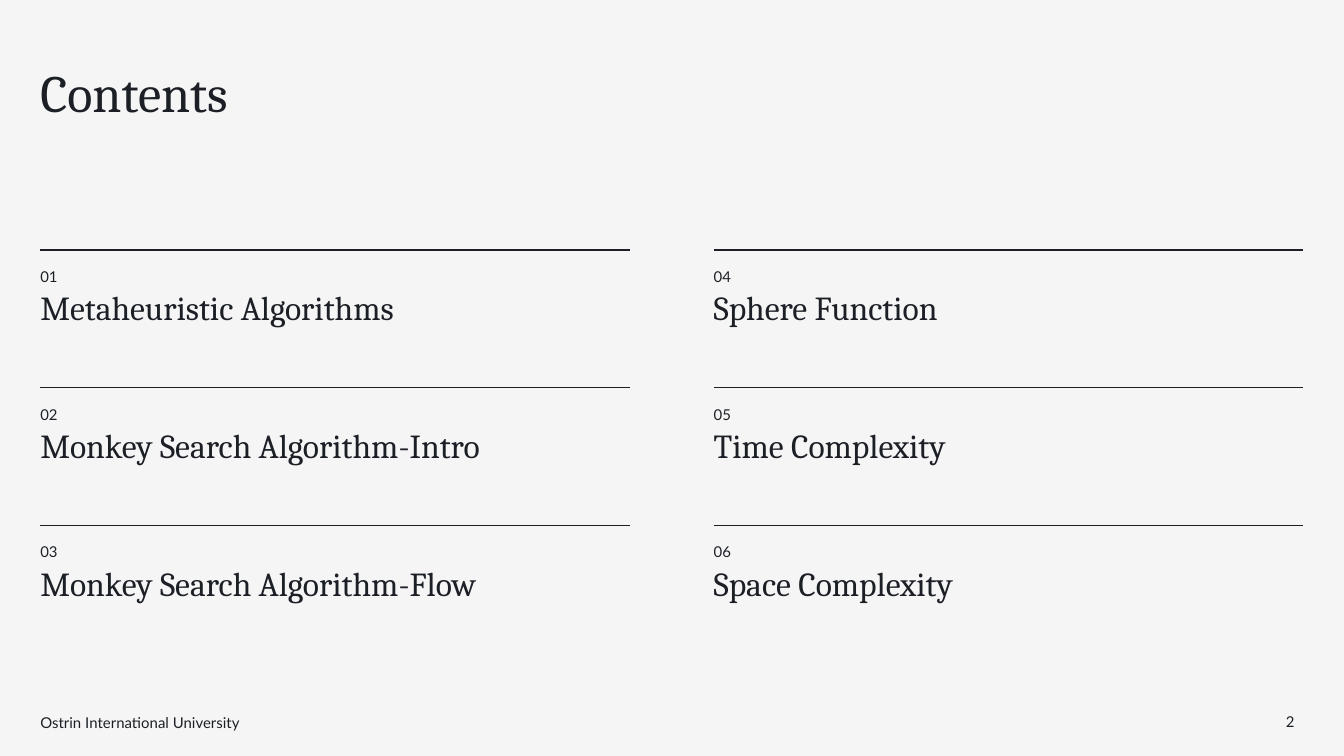
from lxml.etree import SubElement
from pptx import Presentation
from pptx.dml.color import RGBColor
from pptx.enum.shapes import MSO_CONNECTOR
from pptx.enum.text import MSO_ANCHOR, MSO_AUTO_SIZE, PP_ALIGN
from pptx.oxml.ns import qn
from pptx.util import Inches, Pt

# Content
TITLE = "Contents"
TOPICS = [
    "Metaheuristic Algorithms",
    "Monkey Search Algorithm-Intro",
    "Monkey Search Algorithm-Flow",
    "Sphere Function",
    "Time Complexity",
    "Space Complexity",
]
FOOTER = "Ostrin International University"
PAGE = "2"

# Style and grid, in inches
COLORS = {"ink": "1C2026", "paper": "F5F5F5"}
SERIF, SANS = "Cambria", "Lato"
COLUMNS = [0.3, 5.31]
ROWS = 3
TOP, PITCH = 1.86, 1.025
RULE_WIDTH = 4.385


def color(name):
    return RGBColor.from_string(COLORS[name])


def set_text(sp, box, text, font, size, spacing=1.0, anchor=MSO_ANCHOR.TOP, inset=0):
    sp.left, sp.top, sp.width, sp.height = [Inches(v) for v in box]
    tf = sp.text_frame
    tf.text = text
    tf.word_wrap = True
    tf.auto_size = MSO_AUTO_SIZE.NONE
    tf.vertical_anchor = anchor
    tf.margin_left = tf.margin_right = Inches(inset)
    tf.margin_top = tf.margin_bottom = Inches(inset)
    p = tf.paragraphs[0]
    p.alignment = PP_ALIGN.LEFT
    p.line_spacing = spacing
    p.space_before = Pt(0)
    r = p.runs[0]
    r.font.name = font
    r.font.size = Pt(size)
    r.font.color.rgb = color("ink")


def add_text(s, box, *args, **kwargs):
    set_text(s.shapes.add_textbox(0, 0, 0, 0), box, *args, **kwargs)


def add_rule(s, x, y):
    line = s.shapes.add_connector(
        MSO_CONNECTOR.STRAIGHT,
        Inches(x + RULE_WIDTH), Inches(y), Inches(x), Inches(y),
    )
    line.line.color.rgb = color("ink")
    line.line.width = Pt(0.75)
    SubElement(line._element.spPr, qn("a:effectLst"))


prs = Presentation()
prs.slide_width, prs.slide_height = Inches(10), Inches(5.625)
s = prs.slides.add_slide(prs.slide_layouts[5])
s.background.fill.solid()
s.background.fill.fore_color.rgb = color("paper")

# Title
set_text(s.shapes.title, (0.3, 0.5, 9.4, 0.42), TITLE, SERIF, 28, 0.9)

# Topics, filled column by column
for i, topic in enumerate(TOPICS):
    col, row = divmod(i, ROWS)
    x, y = COLUMNS[col], TOP + row * PITCH
    add_rule(s, x, y)
    add_text(s, (x, y + 0.11, 1.98, 0.15), f"{i + 1:02d}", SANS, 8, 1.15)
    add_text(s, (x, y + 0.31, 3.66, 0.27), topic, SERIF, 18, 0.9)

# Footer and page number
add_text(s, (0.3, 5.27, 2.2, 0.2), FOOTER, SANS, 8, 1.15, MSO_ANCHOR.MIDDLE)
add_text(s, (9.47, 5.27, 0.37, 0.2), PAGE, SANS, 8, 1.0, MSO_ANCHOR.MIDDLE, 0.1)

prs.save("out.pptx")
